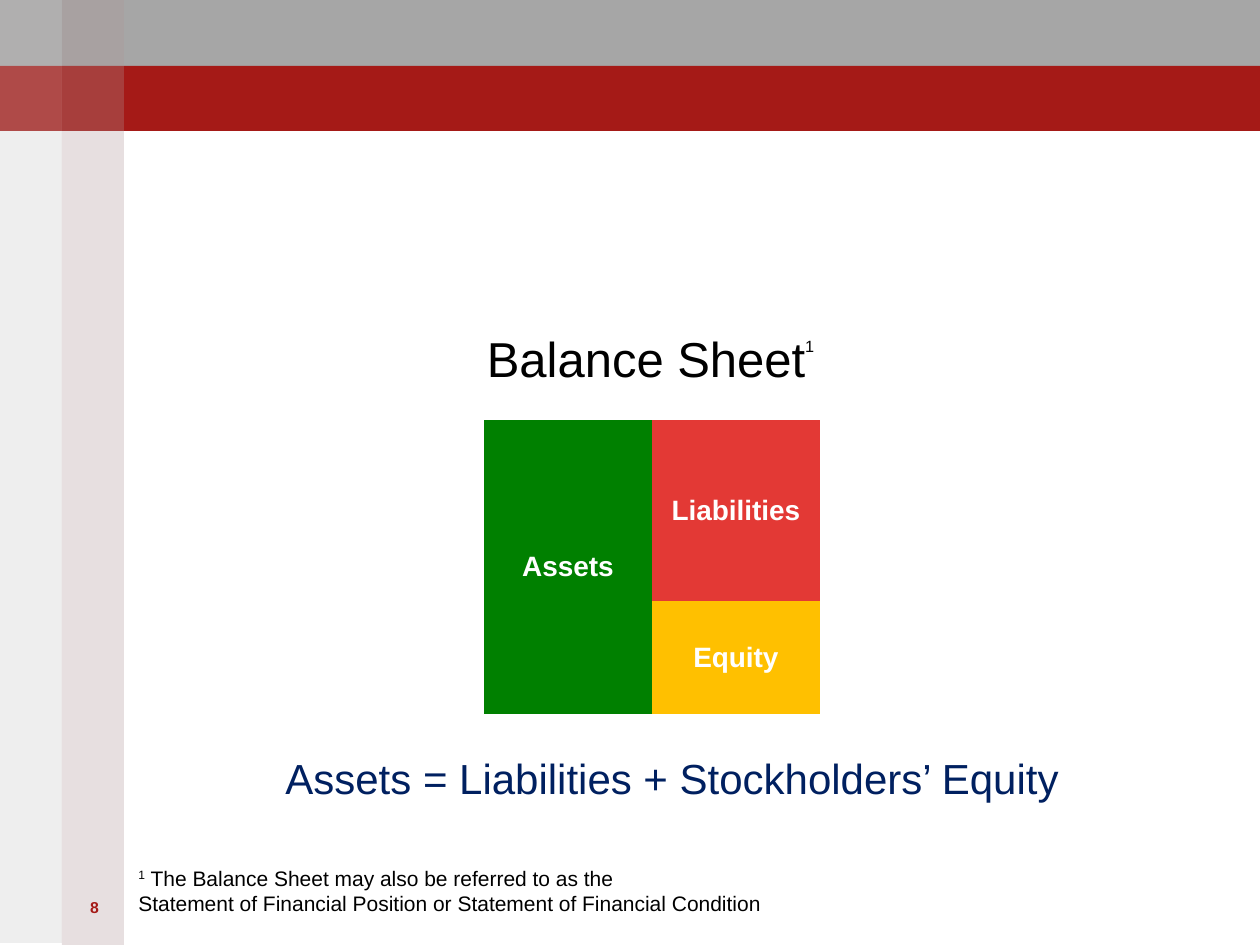
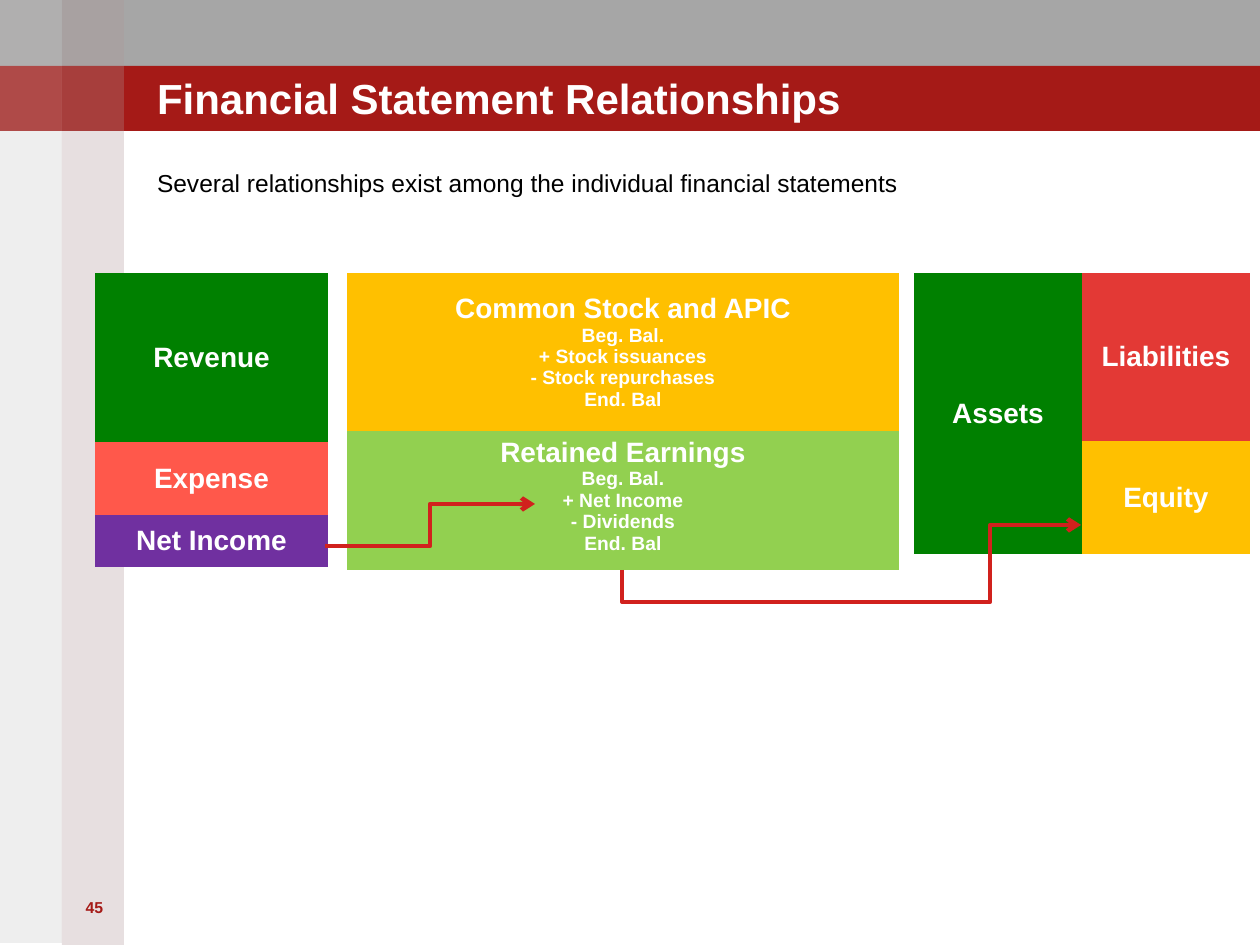
from dataclasses import dataclass

from lxml.etree import SubElement
from pptx import Presentation
from pptx.dml.color import RGBColor
from pptx.enum.shapes import MSO_CONNECTOR, MSO_SHAPE
from pptx.enum.text import MSO_ANCHOR, MSO_AUTO_SIZE, PP_ALIGN
from pptx.oxml.ns import qn
from pptx.util import Emu, Pt

PIXELS_PER_INCH = 126
SLIDE_WIDTH, SLIDE_HEIGHT = 1260, 945
TITLE_ONLY_LAYOUT = 5
PLAIN_TABLE_STYLE = "{2D5ABB26-0587-4C30-8999-92F81FD0307C}"


@dataclass(frozen=True)
class Theme:
    font: str = "Arial"
    black: str = "000000"
    white: str = "FFFFFF"
    navy: str = "002060"
    gray: str = "A6A6A6"
    crimson: str = "A51A17"
    mauve: str = "A08284"
    stone: str = "938F8F"
    arrow: str = "D1211D"
    green: str = "008000"
    red: str = "E33935"
    coral: str = "FF584B"
    purple: str = "7030A0"
    gold: str = "FFC000"
    lime: str = "92D050"
    heading_size: int = 28
    title_size: int = 24
    label_size: int = 16
    body_size: int = 14
    note_size: int = 12
    detail_size: int = 11
    number_size: int = 9
    arrow_width: float = 2.5


def px(length):
    return Emu(round(length * 914400 / PIXELS_PER_INCH))


class Deck:
    def __init__(self, theme):
        self.theme = theme
        self.presentation = Presentation()
        self.presentation.slide_width = px(SLIDE_WIDTH)
        self.presentation.slide_height = px(SLIDE_HEIGHT)
        self.slide = None

    def new_slide(self, number):
        layout = self.presentation.slide_layouts[TITLE_ONLY_LAYOUT]
        self.slide = self.presentation.slides.add_slide(layout)
        if len(self.presentation.slides) == 1:
            self.master_bands()
        self.text((63, 892, 63, 40), number, self.theme.number_size,
                  self.theme.crimson, bold=True, align=PP_ALIGN.CENTER)

    def master_bands(self):
        theme = self.theme
        band, stripe = 66, 62
        bands = [
            ((0, 0, SLIDE_WIDTH, band), theme.gray, 100),
            ((0, band, SLIDE_WIDTH, band - 1), theme.crimson, 100),
            ((stripe, 0, stripe, SLIDE_HEIGHT), theme.mauve, 25),
            ((0, 0, stripe, SLIDE_HEIGHT - 2), theme.stone, 15),
        ]
        for row in range(2):
            for column, opacity in enumerate((15, 5)):
                box = (column * stripe, row * band, stripe, band - row)
                bands.append((box, theme.white, opacity))
        master_tree = self.presentation.slide_master.shapes.element
        for index, (box, color, opacity) in enumerate(bands):
            shape = self.rectangle(box, color, opacity)
            shape.element.nvSpPr.cNvPr.set("id", str(100 + index))
            master_tree.append(shape.element)

    def rectangle(self, box, color, opacity):
        shape = self.slide.shapes.add_shape(MSO_SHAPE.RECTANGLE, *map(px, box))
        shape.shadow.inherit = False
        shape.line.fill.background()
        shape.fill.solid()
        shape.fill.fore_color.rgb = RGBColor.from_string(color)
        if opacity < 100:
            color_element = shape.element.spPr.find(qn("a:solidFill"))[0]
            SubElement(color_element, qn("a:alpha")).set("val", str(opacity * 1000))
        return shape

    def format(self, paragraph, size, color, bold=False, align=PP_ALIGN.LEFT):
        paragraph.alignment = align
        font = paragraph.font
        font.name = self.theme.font
        font.size = Pt(size)
        font.bold = bold
        font.color.rgb = RGBColor.from_string(color)

    def superscript(self, paragraph, text, size, rise):
        run = paragraph.add_run()
        run.text = text
        run.font.size = Pt(size)
        run._r.get_or_add_rPr().set("baseline", str(rise * 1000))

    def remove_insets(self, frame):
        frame.margin_left = frame.margin_right = 0
        frame.margin_top = frame.margin_bottom = 0

    def title(self, box, text, size, color, anchor, **style):
        shape = self.slide.shapes.title
        shape.left, shape.top, shape.width, shape.height = map(px, box)
        frame = shape.text_frame
        self.remove_insets(frame)
        frame.auto_size = MSO_AUTO_SIZE.NONE
        frame.vertical_anchor = anchor
        paragraph = frame.paragraphs[0]
        paragraph.text = text
        self.format(paragraph, size, color, **style)
        return paragraph

    def text(self, box, text, size, color, wrap=True, insets=True, **style):
        frame = self.slide.shapes.add_textbox(*map(px, box)).text_frame
        frame.word_wrap = wrap
        if not insets:
            self.remove_insets(frame)
        paragraph = frame.paragraphs[0]
        paragraph.text = text
        self.format(paragraph, size, color, **style)
        return paragraph

    def table(self, left, top, columns, rows):
        frame = self.slide.shapes.add_table(
            len(rows), len(columns), px(left), px(top),
            px(sum(columns)), px(sum(rows)))
        next(frame.element.iter(qn("a:tableStyleId"))).text = PLAIN_TABLE_STYLE
        table = frame.table
        table.first_row = table.horz_banding = False
        for column, width in zip(table.columns, columns):
            column.width = px(width)
        for row, height in zip(table.rows, rows):
            row.height = px(height)
        return table

    def cell(self, cell, fill, label, details=(), anchor=MSO_ANCHOR.MIDDLE):
        cell.fill.solid()
        cell.fill.fore_color.rgb = RGBColor.from_string(fill)
        cell.vertical_anchor = anchor
        frame = cell.text_frame
        for index, line in enumerate((label, *details)):
            paragraph = frame.add_paragraph() if index else frame.paragraphs[0]
            paragraph.text = line
            size = self.theme.detail_size if index else self.theme.label_size
            self.format(paragraph, size, self.theme.white, bold=True,
                        align=PP_ALIGN.CENTER)

    def balance_sheet(self, left, top, liabilities_height):
        table = self.table(left, top, (168, 168), (liabilities_height, 113))
        table.cell(0, 0).merge(table.cell(1, 0))
        self.cell(table.cell(0, 0), self.theme.green, "Assets")
        self.cell(table.cell(0, 1), self.theme.red, "Liabilities")
        self.cell(table.cell(1, 1), self.theme.gold, "Equity")

    def stacked_table(self, left, top, width, entries):
        table = self.table(left, top, (width,), [height for height, *_ in entries])
        for row, (_, *content) in enumerate(entries):
            self.cell(table.cell(row, 0), *content)

    def elbow_arrow(self, begin, end):
        connector = self.slide.shapes.add_connector(
            MSO_CONNECTOR.ELBOW, *map(px, (*begin, *end)))
        connector.line.width = Pt(self.theme.arrow_width)
        connector.line.color.rgb = RGBColor.from_string(self.theme.arrow)
        properties = connector.element.spPr
        SubElement(properties.find(qn("a:ln")), qn("a:tailEnd")).set("type", "arrow")
        SubElement(properties, qn("a:effectLst"))
        return connector

    def under_arrow(self, begin, end, drop, turn):
        width, height = end[0] - begin[0], begin[1] - end[1]
        center_x, center_y = (begin[0] + end[0]) / 2, (begin[1] + end[1]) / 2
        connector = self.elbow_arrow(
            (center_x + height / 2, center_y + width / 2),
            (center_x - height / 2, center_y - width / 2))
        connector.rotation = 90 if hasattr(connector, "rotation") else 0
        properties = connector.element.spPr
        properties.find(qn("a:xfrm")).set("rot", str(90 * 60000))
        geometry = properties.find(qn("a:prstGeom"))
        geometry.set("prst", "bentConnector4")
        adjustments = geometry.find(qn("a:avLst"))
        if adjustments is None:
            adjustments = SubElement(geometry, qn("a:avLst"))
        ratios = (-drop / height, turn / width)
        for index, ratio in enumerate(ratios, start=1):
            guide = SubElement(adjustments, qn("a:gd"))
            guide.set("name", f"adj{index}")
            guide.set("fmla", f"val {round(ratio * 100000)}")


def balance_sheet_slide(deck):
    theme = deck.theme
    deck.new_slide("8")
    heading = deck.title((157, 330, 987, 56), "Balance Sheet", theme.heading_size,
                         theme.black, MSO_ANCHOR.MIDDLE, align=PP_ALIGN.CENTER)
    deck.superscript(heading, "1", theme.label_size, 90)
    note = deck.text((126, 859, 693, 63), "", theme.note_size, theme.black)
    deck.superscript(note, "1", theme.note_size, 30)
    note.add_run().text = " The Balance Sheet may also be referred to as the"
    note.add_line_break()
    note.add_run().text = (
        "Statement of Financial Position or Statement of Financial Condition")
    deck.text((273, 746, 806, 63), "Assets = Liabilities + Stockholders’ Equity",
              theme.title_size, theme.navy, wrap=False)
    deck.balance_sheet(484, 420, 181)


def relationships_slide(deck):
    theme = deck.theme
    top = 273
    deck.new_slide("45")
    deck.title((157, 39, 824, 84), "Financial Statement Relationships",
               theme.title_size, theme.white, MSO_ANCHOR.BOTTOM, bold=True)
    deck.text((157, 168, 1040, 40),
              "Several relationships exist among the individual financial statements",
              theme.body_size, theme.black, insets=False)
    deck.stacked_table(95, top, 233, [
        (169, theme.green, "Revenue"),
        (73, theme.coral, "Expense"),
        (52, theme.purple, "Net Income"),
    ])
    deck.stacked_table(347, top, 552, [
        (158, theme.gold, "Common Stock and APIC",
         ("Beg. Bal.", "+ Stock issuances", "- Stock repurchases", "End. Bal")),
        (136, theme.lime, "Retained Earnings",
         ("Beg. Bal.", "+ Net Income", "- Dividends", "End. Bal"), MSO_ANCHOR.TOP),
    ])
    deck.balance_sheet(914, top, 168)
    deck.elbow_arrow((325, 546), (535, 504))
    deck.under_arrow((622, 570), (1081, 525), drop=32, turn=368)


def main():
    deck = Deck(Theme())
    balance_sheet_slide(deck)
    relationships_slide(deck)
    deck.presentation.save("out.pptx")


if __name__ == "__main__":
    main()
